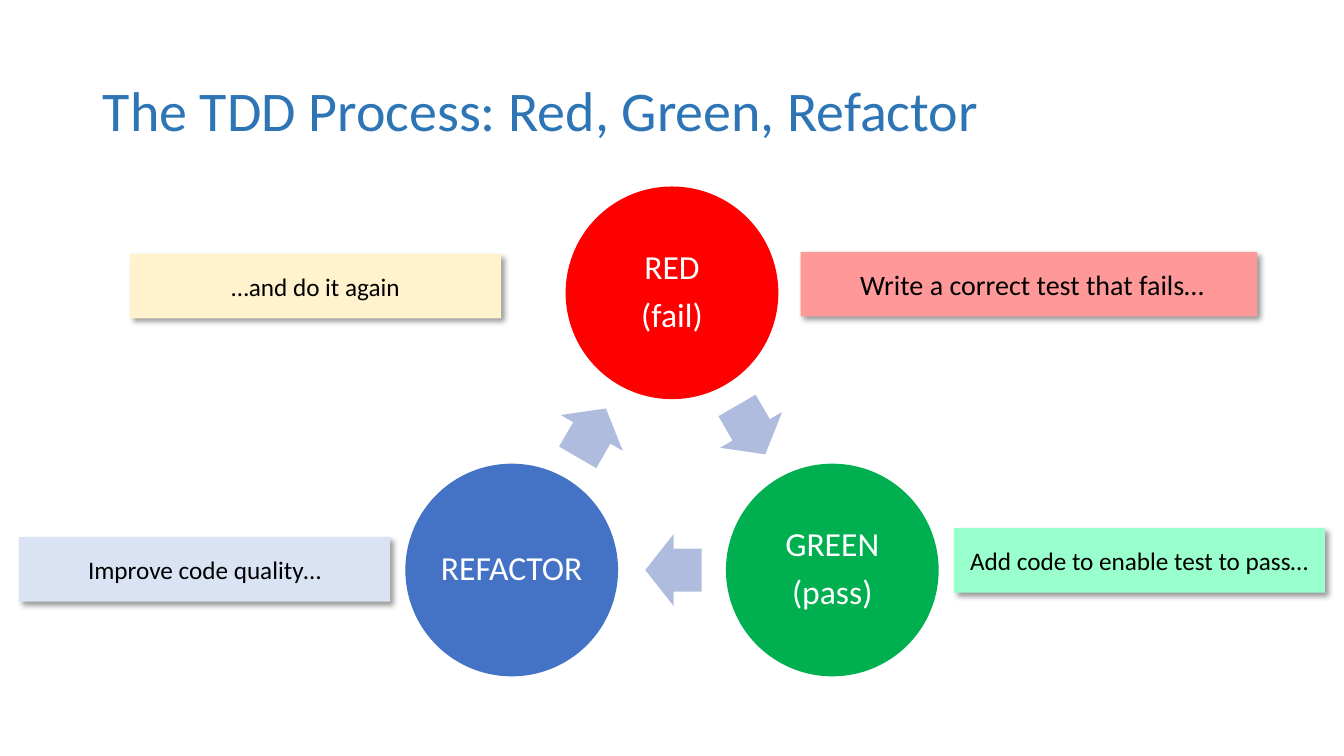
from lxml import etree
from pptx import Presentation, util as u
from pptx.dml.color import RGBColor
from pptx.enum import shapes, text
from pptx.oxml.ns import qn

FONT = "Calibri"
TITLE_BLUE = RGBColor(0x2E, 0x75, 0xB6)
WHITE = RGBColor(0xFF, 0xFF, 0xFF)
BLACK = RGBColor(0, 0, 0)
RED = RGBColor(0xFF, 0, 0)
GREEN = RGBColor(0, 0xB0, 0x50)
BLUE = RGBColor(0x44, 0x72, 0xC4)
ARROW = RGBColor(0xB0, 0xBC, 0xDE)
PINK = RGBColor(0xFF, 0x99, 0x99)
MINT = RGBColor(0x99, 0xFF, 0xCC)
PALE_BLUE = RGBColor(0xDA, 0xE3, 0xF3)
CREAM = RGBColor(0xFF, 0xF2, 0xCC)

STAGE_SIZE = 2.11
ARROW_SIZE = (0.56, 0.71)
NOTE_HEIGHT = 0.64

CENTERED = {"alignment": text.PP_ALIGN.CENTER}
STAGE_PARAGRAPH = {**CENTERED, "line_spacing": 0.9, "space_after": u.Pt(8.4)}
TITLE_PARAGRAPH = {"alignment": text.PP_ALIGN.LEFT, "line_spacing": 0.9}


def set_attrs(obj, values):
    for name, value in values.items():
        setattr(obj, name, value)


def place(sp, left, top, width, height):
    set_attrs(sp, {"left": u.Inches(left), "top": u.Inches(top),
                   "width": u.Inches(width), "height": u.Inches(height)})


def write(sp, lines, size, color, paragraph, inset):
    """Fill a shape with one paragraph per line."""
    tf = sp.text_frame
    set_attrs(tf, {"word_wrap": True, "auto_size": text.MSO_AUTO_SIZE.NONE,
                   "vertical_anchor": text.MSO_ANCHOR.MIDDLE})
    for side in ("left", "right", "top", "bottom"):
        setattr(tf, f"margin_{side}", u.Inches(inset))
    tf.text = "\n".join(lines)
    for p in tf.paragraphs:
        set_attrs(p, paragraph)
        for r in p.runs:
            set_attrs(r.font, {"name": FONT, "size": u.Pt(size)})
            r.font.color.rgb = color


def add_filled(slide, kind, box, fill):
    sp = slide.shapes.add_shape(kind, *map(u.Inches, box))
    sp.shadow.inherit = False
    sp.fill.solid()
    sp.fill.fore_color.rgb = fill
    sp.line.fill.background()
    return sp


def add_title(slide, title):
    sp = slide.shapes.title
    place(sp, 0.92, 0.4, 11.5, 1.45)
    write(sp, [title], 40, TITLE_BLUE, TITLE_PARAGRAPH, 0.1)


def add_stage(slide, left, top, fill, lines):
    box = (left, top, STAGE_SIZE, STAGE_SIZE)
    sp = add_filled(slide, shapes.MSO_SHAPE.OVAL, box, fill)
    write(sp, lines, 24, WHITE, STAGE_PARAGRAPH, 0.03)


def add_cycle_arrow(slide, left, top, rotation):
    box = (left, top, *ARROW_SIZE)
    sp = add_filled(slide, shapes.MSO_SHAPE.RIGHT_ARROW, box, ARROW)
    sp.adjustments[0] = 0.6
    sp.adjustments[1] = 0.5
    sp.rotation = rotation


def add_shadow(sp):
    """Soft black shadow towards the lower right."""
    effects = sp._element.spPr.find(qn("a:effectLst"))
    shadow = etree.SubElement(effects, qn("a:outerShdw"), blurRad=str(u.Pt(4)),
                              dist=str(u.Pt(3)), dir=str(45 * 60000),
                              algn="tl", rotWithShape="0")
    color = etree.SubElement(shadow, qn("a:srgbClr"), val=str(BLACK))
    etree.SubElement(color, qn("a:alpha"), val="40000")


def add_note(slide, left, top, width, fill, note, size, inset):
    box = (left, top, width, NOTE_HEIGHT)
    sp = add_filled(slide, shapes.MSO_SHAPE.RECTANGLE, box, fill)
    add_shadow(sp)
    write(sp, [note], size, BLACK, CENTERED, inset)


def main():
    prs = Presentation()
    set_attrs(prs, {"slide_width": u.Inches(13.33),
                    "slide_height": u.Inches(7.5)})
    slide = prs.slides.add_slide(prs.slide_layouts[5])
    add_title(slide, "The TDD Process: Red, Green, Refactor")

    # Cycle: three stages joined clockwise
    for stage in (
        (5.61, 1.85, RED, ["RED", "(fail)"]),
        (7.2, 4.6, GREEN, ["GREEN", "(pass)"]),
        (4.02, 4.6, BLUE, ["REFACTOR"]),
    ):
        add_stage(slide, *stage)
    for arrow in ((7.17, 3.91, 60), (6.4, 5.3, 180), (5.59, 3.94, 300)):
        add_cycle_arrow(slide, *arrow)

    # Notes beside the stages
    for note in (
        (7.94, 2.5, 4.53, PINK, " Write a correct test that fails…", 20, 0.04),
        (9.46, 5.24, 3.68, MINT, "Add code to enable test to pass…", 18, 0.04),
        (0.19, 5.33, 3.68, PALE_BLUE, "Improve code quality…", 18, 0.03),
        (1.29, 2.52, 3.68, CREAM, "…and do it again", 18, 0),
    ):
        add_note(slide, *note)

    prs.save("out.pptx")


main()
